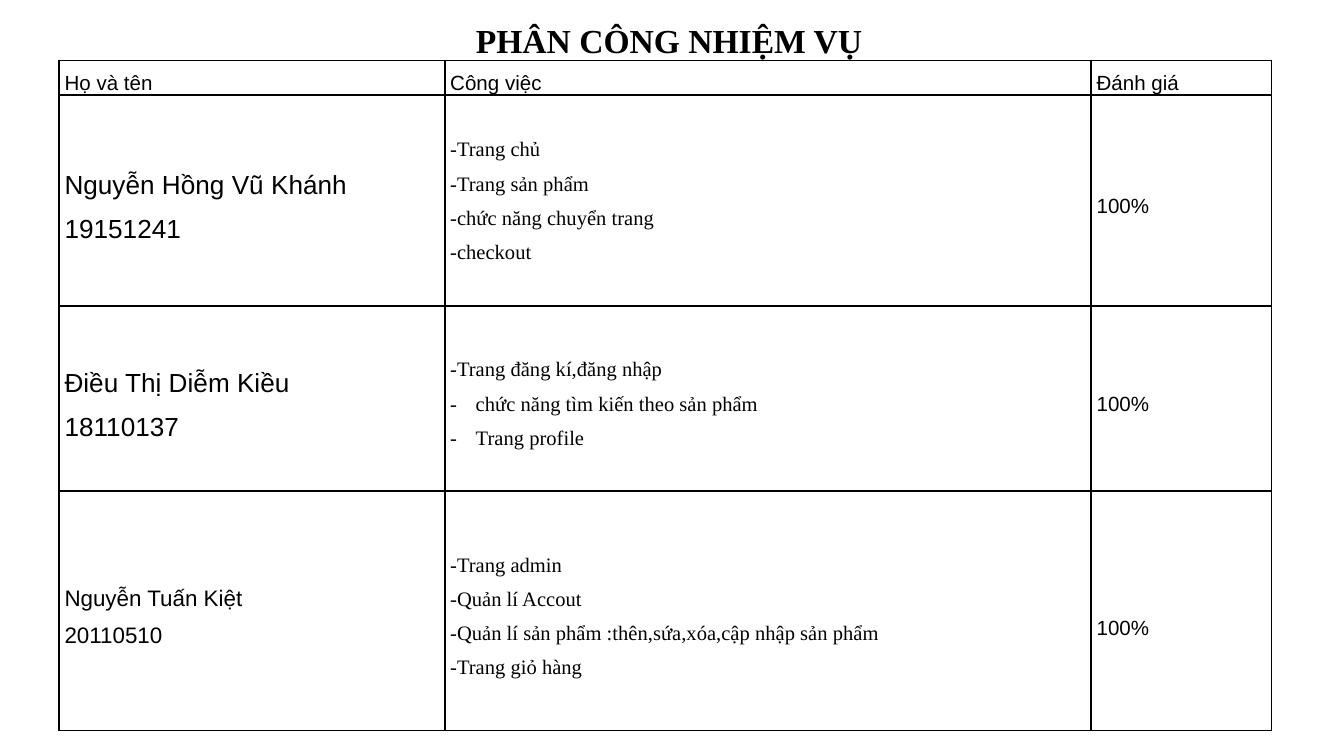
from lxml.etree import SubElement
from pptx import Presentation
from pptx.dml.color import RGBColor
from pptx.enum.text import MSO_ANCHOR as Anchor, MSO_AUTO_SIZE as AutoSize, PP_ALIGN as Align
from pptx.oxml.ns import qn
from pptx.util import Inches, Pt

INK = "000000"
SANS, SERIF = "Arial", "Times New Roman"
COLUMNS = [2.87, 4.81, 1.34]
ROWS = [0.24, 1.57, 1.38, 1.78]
HEADINGS = ["Họ và tên", "Công việc", "Đánh giá"]
# Name, student number, name size, tasks, score; "- " opens a bulleted task
MEMBERS = [
    ("Nguyễn Hồng Vũ Khánh", "19151241", 14,
     ["-Trang chủ", "-Trang sản phẩm", "-chức năng chuyển trang", "-checkout"], "100%"),
    ("Điều Thị Diễm Kiều", "18110137", 14,
     ["-Trang đăng kí,đăng nhập", "- chức năng tìm kiến theo sản phẩm", "- Trang profile"], "100%"),
    ("Nguyễn Tuấn Kiệt", "20110510", 12,
     ["-Trang admin", "-Quản lí Accout",
      "-Quản lí sản phẩm :thên,sứa,xóa,cập nhập sản phẩm", "-Trang giỏ hàng"], "100%"),
]


def add_span(para, text, font, size, bold=False):
    span = para.add_run()
    span.text = text
    span.font.name, span.font.size, span.font.bold = font, Pt(size), bold
    span.font.color.rgb = RGBColor.from_string(INK)


def fill_cell(cell, lines, font, size, anchor):
    """Write the lines into a cell with thin borders and no fill."""
    cell.margin_left = cell.margin_right = Inches(0.04)
    cell.margin_top = cell.margin_bottom = 0
    cell.vertical_anchor = anchor
    for number, line in enumerate(lines):
        frame = cell.text_frame
        para = frame.add_paragraph() if number else frame.paragraphs[0]
        para.alignment, para.line_spacing = Align.JUSTIFY, 1.5
        if line.startswith("- "):
            line = line[2:]
            props = para._p.get_or_add_pPr()
            props.set("marL", str(Inches(0.19)))
            props.set("indent", str(-Inches(0.19)))
            SubElement(SubElement(props, qn("a:buClr")), qn("a:srgbClr"), val=INK)
            SubElement(props, qn("a:buFont"), typeface=font)
            SubElement(props, qn("a:buChar"), char="-")
        add_span(para, line, font, size)
    props = cell._tc.get_or_add_tcPr()
    for side in ("a:lnL", "a:lnR", "a:lnT", "a:lnB"):
        border = SubElement(props, qn(side), w=str(Pt(1)))
        SubElement(SubElement(border, qn("a:solidFill")), qn("a:srgbClr"), val=INK)
    cell.fill.background()


deck = Presentation()
deck.slide_width = Inches(10)
deck.slide_height = deck.slide_width * 9 // 16
page = deck.slides.add_slide(deck.slide_layouts[5])

# Task table
table = page.shapes.add_table(
    len(ROWS), len(COLUMNS), Inches(0.44), Inches(0.45),
    Inches(sum(COLUMNS)), Inches(sum(ROWS))).table
table.first_row = table.horz_banding = False
for column, width in zip(table.columns, COLUMNS):
    column.width = Inches(width)
for row, height in zip(table.rows, ROWS):
    row.height = Inches(height)

for column, heading in enumerate(HEADINGS):
    fill_cell(table.cell(0, column), [heading], SANS, 11, Anchor.TOP)
for row, (name, number, size, tasks, score) in enumerate(MEMBERS, start=1):
    fill_cell(table.cell(row, 0), [name, number], SANS, size, Anchor.MIDDLE)
    fill_cell(table.cell(row, 1), tasks, SERIF, 11, Anchor.MIDDLE)
    fill_cell(table.cell(row, 2), [score], SANS, 11, Anchor.MIDDLE)
table.cell(1, 1).margin_bottom = Inches(0.07)
table.cell(3, 2).margin_top = Inches(0.18)

# Title
title = page.shapes.title
title.left, title.top, title.width, title.height = map(Inches, (3.44, 0.1, 5, 0.71))
frame = title.text_frame
frame.word_wrap, frame.auto_size = True, AutoSize.NONE
frame.vertical_anchor = Anchor.TOP
frame.paragraphs[0].alignment = Align.LEFT
add_span(frame.paragraphs[0], "PHÂN CÔNG NHIỆM VỤ", SERIF, 18, bold=True)

deck.save("out.pptx")
